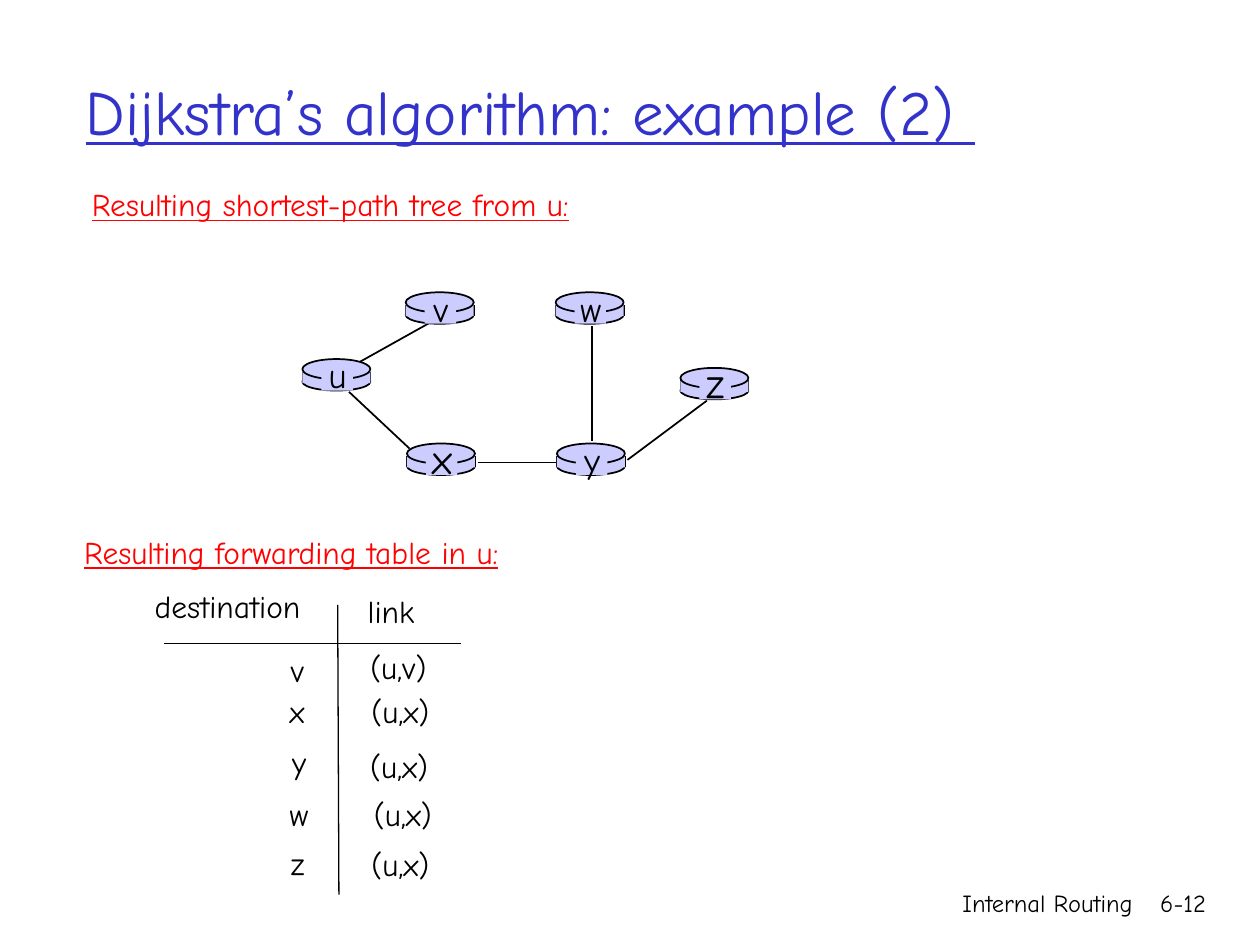
from lxml import etree
from pptx import Presentation
from pptx.dml.color import RGBColor
from pptx.enum.shapes import MSO_CONNECTOR, MSO_SHAPE
from pptx.enum.text import MSO_ANCHOR, MSO_AUTO_SIZE, PP_ALIGN
from pptx.oxml.ns import qn
from pptx.util import Inches, Pt

STRAIGHT = MSO_CONNECTOR.STRAIGHT
OVAL, RECTANGLE = MSO_SHAPE.OVAL, MSO_SHAPE.RECTANGLE
LEFT, CENTER, RIGHT = PP_ALIGN.LEFT, PP_ALIGN.CENTER, PP_ALIGN.RIGHT
MIDDLE = MSO_ANCHOR.MIDDLE
FIT_SHAPE = MSO_AUTO_SIZE.SHAPE_TO_FIT_TEXT

FONT = "Comic Neue"
COLORS = {"title": "3333CC", "heading": "FF0000", "ink": "000000", "router": "CCCCFF"}
ROUTER_WIDTH = 0.54

ROUTERS = [
    ("u", 2.40, 2.85, 20, 0.35),
    ("x", 3.23, 3.52, 24, 0.40),
    ("v", 3.22, 2.32, 20, 0.34),
    ("w", 4.41, 2.32, 20, 0.39),
    ("y", 4.42, 3.52, 20, 0.35),
    ("z", 5.40, 2.92, 24, 0.38),
]
TREE_EDGES = [
    (2.86, 2.87, 3.45, 2.54),
    (4.70, 2.59, 4.70, 3.50),
    (4.98, 3.65, 5.61, 3.18),
    (4.43, 3.67, 3.79, 3.67),
    (3.25, 3.56, 2.77, 3.11),
]
FORWARDING_TEXTS = [
    ("destination", 1.13, 4.61, 1.50), ("link", 2.82, 4.65, 0.60),
    ("v", 2.21, 5.12, 0.32), ("(u,v)", 2.84, 5.09, 0.71),
    ("x", 2.20, 5.44, 0.35), ("(u,x)", 2.85, 5.44, 0.73),
    ("y", 2.22, 5.85, 0.33), ("(u,x)", 2.84, 5.88, 0.73),
    ("w", 2.20, 6.26, 0.37), ("(u,x)", 2.87, 6.26, 0.73),
    ("z", 2.21, 6.65, 0.34), ("(u,x)", 2.85, 6.66, 0.73),
]


class SlideBuilder:
    def __init__(self, slide):
        self.slide = slide

    def color(self, name):
        return RGBColor.from_string(COLORS[name])

    def format_text(self, text_frame, text, size, color, align, underline=False):
        text_frame.text = text
        paragraph = text_frame.paragraphs[0]
        paragraph.alignment = align
        font = paragraph.runs[0].font
        font.name = FONT
        font.size = Pt(size)
        font.color.rgb = self.color(color)
        if underline:
            font.underline = True

    def title(self, text, left, top, width, height):
        title = self.slide.shapes.title
        title.left, title.top = Inches(left), Inches(top)
        title.width, title.height = Inches(width), Inches(height)
        title.text_frame.vertical_anchor = MIDDLE
        self.format_text(title.text_frame, text, 36, "title", LEFT, underline=True)

    def text(self, text, left, top, width, height=0.4, size=18, color="ink",
             align=LEFT, underline=False, wrap=False):
        box = self.slide.shapes.add_textbox(
            Inches(left), Inches(top), Inches(width), Inches(height))
        box.text_frame.word_wrap = wrap
        if not wrap:
            box.text_frame.auto_size = FIT_SHAPE
        self.format_text(box.text_frame, text, size, color, align, underline)

    def shape(self, kind, left, top, width, height, outlined=False):
        shape = self.slide.shapes.add_shape(
            kind, Inches(left), Inches(top), Inches(width), Inches(height))
        shape.shadow.inherit = False
        shape.fill.solid()
        shape.fill.fore_color.rgb = self.color("router")
        if outlined:
            shape.line.color.rgb = self.color("ink")
            shape.line.width = Pt(1)
        else:
            shape.line.fill.background()

    def line(self, start_x, start_y, end_x, end_y, weight=1):
        connector = self.slide.shapes.add_connector(
            STRAIGHT, Inches(start_x), Inches(start_y), Inches(end_x), Inches(end_y))
        connector.line.color.rgb = self.color("ink")
        connector.line.width = Pt(weight)
        etree.SubElement(connector.element.spPr, qn("a:effectLst"))

    def router(self, name, left, top, size, label_width):
        self.shape(OVAL, left, top + 0.11, ROUTER_WIDTH, 0.14, outlined=True)
        for side in (left, left + ROUTER_WIDTH):
            self.line(side, top + 0.1, side, top + 0.19)
        self.shape(RECTANGLE, left, top + 0.1, ROUTER_WIDTH, 0.09)
        self.shape(OVAL, left, top, ROUTER_WIDTH, 0.16, outlined=True)
        self.shape(RECTANGLE, left + 0.15, top + 0.02, 0.25, 0.23)
        label_left = left + (ROUTER_WIDTH - label_width) / 2 + 0.01
        rise, height = (0.09, 0.43) if size == 20 else (0.14, 0.5)
        self.text(name, label_left, top - rise, label_width, height, size, align=CENTER)


def main():
    presentation = Presentation()
    presentation.slide_width, presentation.slide_height = Inches(10), Inches(7.5)
    slide = presentation.slides.add_slide(presentation.slide_layouts[5])
    builder = SlideBuilder(slide)

    builder.title("Dijkstra’s algorithm: example (2) ", 0.58, 0.25, 8.5, 1.25)
    builder.text("Internal Routing", 5.92, 7, 3.17, 0.5, 14, align=RIGHT, wrap=True)
    builder.text("6-12", 8.93, 7, 0.74, 0.5, 14, align=RIGHT, wrap=True)

    builder.text("Resulting shortest-path tree from u:", 0.63, 1.42, 4.49,
                 color="heading", underline=True)
    for edge in TREE_EDGES:
        builder.line(*edge)
    for router in ROUTERS:
        builder.router(*router)

    builder.text("Resulting forwarding table in u:", 0.57, 4.18, 3.84,
                 color="heading", underline=True)
    builder.line(2.68, 4.8, 2.69, 7.1, weight=0.75)
    builder.line(1.3, 5.11, 3.66, 5.11, weight=0.75)
    for text, left, top, width in FORWARDING_TEXTS:
        builder.text(text, left, top, width)

    presentation.save("out.pptx")


if __name__ == "__main__":
    main()
